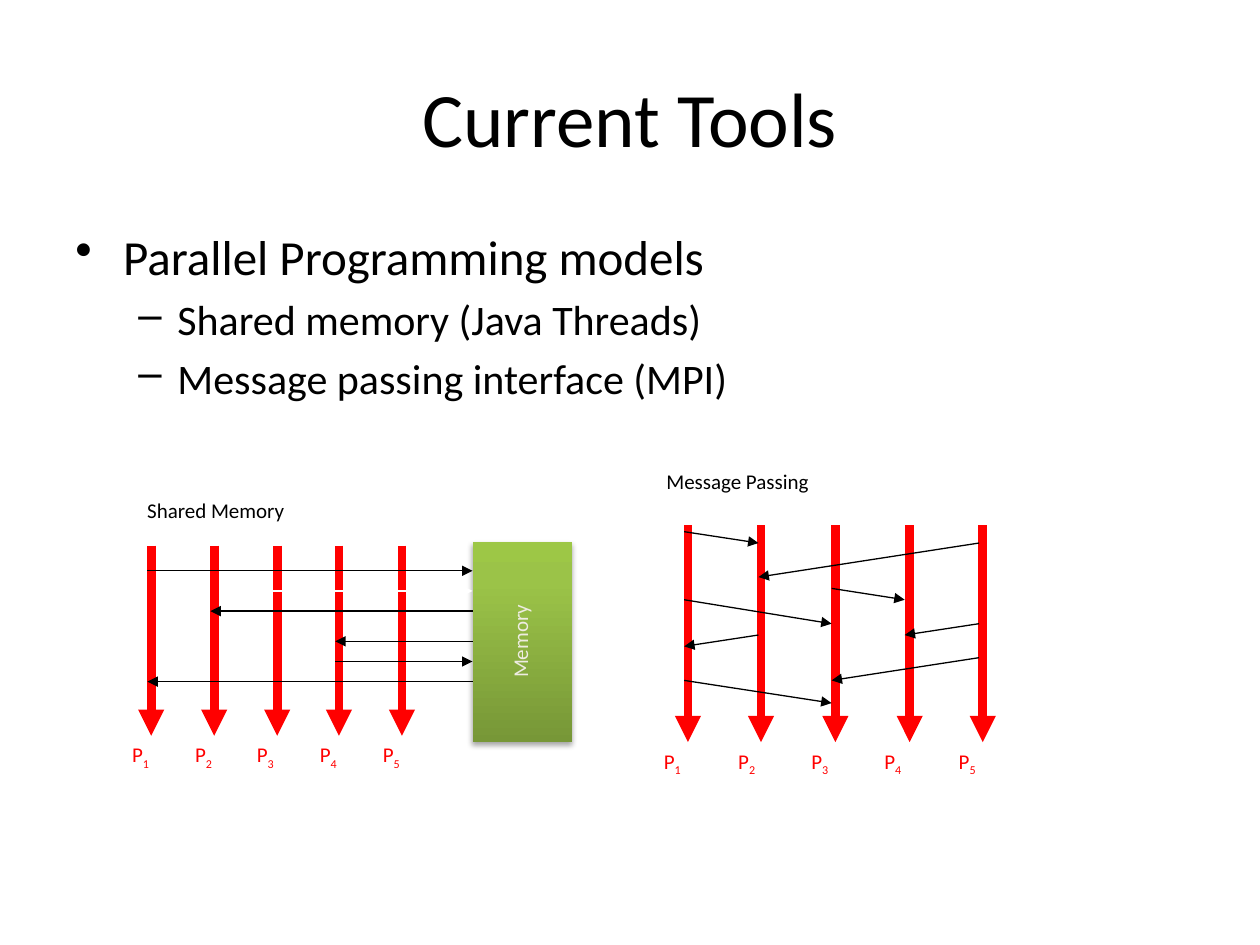
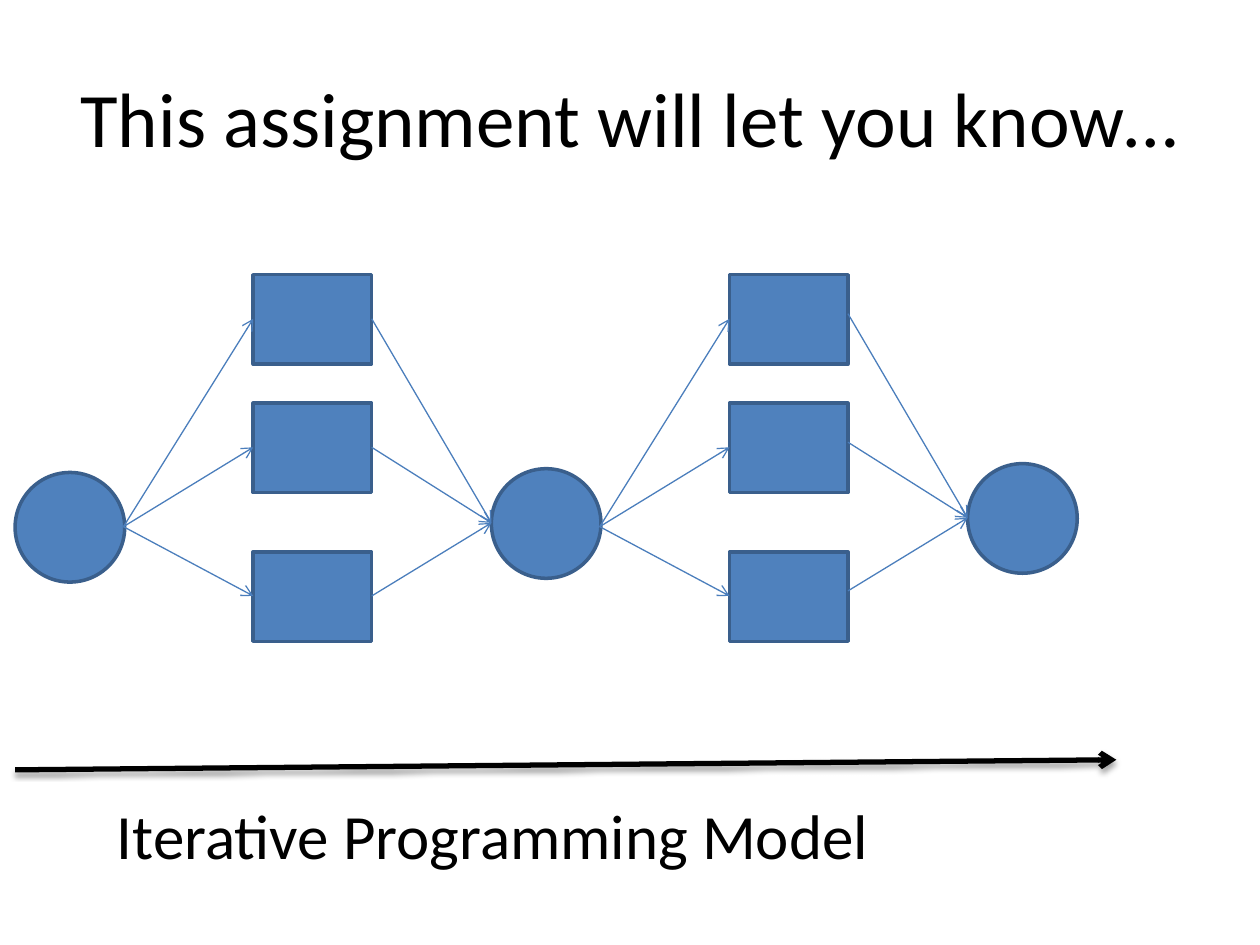
import copy

import pptx
import pptx.dml.color
import pptx.enum.shapes
import pptx.enum.text
import pptx.oxml
import pptx.oxml.ns
import pptx.util

RGBColor = pptx.dml.color.RGBColor
SHAPE = pptx.enum.shapes.MSO_SHAPE
ALIGN = pptx.enum.text.PP_ALIGN
qn = pptx.oxml.ns.qn

EMU_PER_PX = 9144  # 100 px to the inch
FONT = "Calibri"

BLACK = RGBColor(0x00, 0x00, 0x00)
WHITE = RGBColor(0xFF, 0xFF, 0xFF)
RED = RGBColor(0xFF, 0x00, 0x00)
CREAM = RGBColor(0xEE, 0xEC, 0xE1)
BLUE = RGBColor(0x4F, 0x81, 0xBD)
BLUE_EDGE = RGBColor(0x3A, 0x5F, 0x8C)
BLUE_ARROW = RGBColor(0x4B, 0x7E, 0xBC)
GREEN_STOPS = [
    (0, RGBColor(0x77, 0x97, 0x37)),
    (0.8, RGBColor(0x9B, 0xC3, 0x48)),
    (1, RGBColor(0x9D, 0xC7, 0x46)),
]

LANE_COUNT = 5
ARROW_INSET = 3  # arrows meet a lane this far left of its centre


def px(*lengths):
    return [pptx.util.Emu(round(length) * EMU_PER_PX) for length in lengths]


# Text
def style_span(span, size, color):
    span.font.name = FONT
    span.font.size = pptx.util.Pt(size)
    span.font.color.rgb = color


def add_text(page, text, area, size, color=BLACK, wrap=False, align=ALIGN.LEFT):
    box = page.shapes.add_textbox(*px(*area))
    frame = box.text_frame
    frame.word_wrap = wrap
    frame.text = text
    para = frame.paragraphs[0]
    para.alignment = align
    style_span(para.runs[0], size, color)
    return box


def add_title(page, text):
    box = add_text(page, text, (50, 30, 900, 125), 44, wrap=True, align=ALIGN.CENTER)
    box.text_frame.vertical_anchor = pptx.enum.text.MSO_ANCHOR.MIDDLE


def add_lane_label(page, number, left, top):
    box = add_text(page, "P", (left, top, 35, 30), 12, RED)
    span = box.text_frame.paragraphs[0].add_run()
    span.text = str(number)
    style_span(span, 12, RED)
    span.font._element.set("baseline", "-25000")


def add_bullets(page, items, area):
    frame = page.shapes.add_textbox(*px(*area)).text_frame
    frame.word_wrap = True
    levels = [("•", 38, -38, 28), ("–", 81, -31, 24)]
    for index, (level, text) in enumerate(items):
        mark, margin, indent, size = levels[level]
        para = frame.add_paragraph() if index else frame.paragraphs[0]
        para.text = text
        para.level = level
        if index:
            para.space_before = pptx.util.Pt(size * 0.2)
        props = para._p.get_or_add_pPr()
        props.set("marL", str(margin * EMU_PER_PX))
        props.set("indent", str(indent * EMU_PER_PX))
        pptx.oxml.ns  # bullet mark follows the spacing element
        bullet = props.makeelement(qn("a:buChar"), {"char": mark})
        props.append(bullet)
        style_span(para.runs[0], size, BLACK)


# Lines and shapes
def add_soft_shadow(effects):
    effects.append(pptx.oxml.parse_xml(
        f'<a:outerShdw {pptx.oxml.ns.nsdecls("a")} blurRad="40000" dist="23000" '
        'dir="5400000" rotWithShape="0"><a:srgbClr val="000000">'
        '<a:alpha val="35000"/></a:srgbClr></a:outerShdw>'))


def add_arrow(page, start, end, color=BLACK, width=0.75, head="triangle", shadow=False):
    line = page.shapes.add_connector(
        pptx.enum.shapes.MSO_CONNECTOR.STRAIGHT, *px(*start, *end))
    line.line.color.rgb = color
    line.line.width = pptx.util.Pt(width)
    props = line._element.spPr
    outline = props.find(qn("a:ln"))
    outline.append(outline.makeelement(qn("a:tailEnd"), {"type": head}))
    effects = props.makeelement(qn("a:effectLst"), {})
    props.append(effects)
    if shadow:
        add_soft_shadow(effects)


def add_node(page, kind, area):
    node = page.shapes.add_shape(kind, *px(*area))
    node.shadow.inherit = False
    node.fill.solid()
    node.fill.fore_color.rgb = BLUE
    node.line.color.rgb = BLUE_EDGE
    node.line.width = pptx.util.Pt(2)


def add_memory_block(page, area):
    block = page.shapes.add_shape(SHAPE.RECTANGLE, *px(*area))
    block.line.fill.background()
    block.fill.gradient()
    block.fill.gradient_angle = 90
    props = block._element.spPr
    stop_list = props.find(".//" + qn("a:gsLst"))
    stop_list.append(copy.deepcopy(stop_list[0]))
    for stop, (position, color) in zip(block.fill.gradient_stops, GREEN_STOPS):
        stop.position = position
        stop.color.rgb = color
    block.shadow.inherit = False
    add_soft_shadow(props.find(qn("a:effectLst")))


def add_lanes(page, lanes, top, bottom, label_shift):
    for number, x in enumerate(lanes, 1):
        add_arrow(page, (x, top), (x, bottom), RED, 5)
        add_lane_label(page, number, x - label_shift, bottom)


# Diagrams
def draw_message_passing(page):
    lanes = [546 + 58.5 * lane for lane in range(LANE_COUNT)]
    add_text(page, "Message Passing", (519, 367, 135, 30), 12)
    add_lanes(page, lanes, 417, 589, 29)
    # sender, height, receiver, height
    messages = [
        (1, 422, 2, 431), (5, 431, 2, 458), (3, 467, 4, 476), (5, 495, 4, 504),
        (5, 522, 3, 540), (1, 476, 3, 495), (2, 504, 1, 513), (1, 540, 3, 558),
    ]
    for sender, sent, receiver, received in messages:
        add_arrow(page, (lanes[sender - 1] - ARROW_INSET, sent),
                  (lanes[receiver - 1] - ARROW_INSET, received))


def draw_shared_memory(page):
    lanes = [120 + 49.75 * lane for lane in range(LANE_COUNT)]
    memory_left = 375
    add_text(page, "Shared Memory", (107, 390, 130, 30), 12)
    add_lanes(page, lanes, 433, 584, 25)
    add_memory_block(page, (memory_left, 430, 79, 159))
    # lane, height, writes to memory, colour
    accesses = [
        (1, 453, True, BLACK), (3, 469, True, WHITE), (2, 485, False, BLACK),
        (4, 509, False, BLACK), (4, 525, True, BLACK), (1, 541, False, BLACK),
    ]
    for lane, y, writes, color in accesses:
        ends = [(lanes[lane - 1] - ARROW_INSET, y), (memory_left, y)]
        start, end = ends if writes else reversed(ends)
        add_arrow(page, start, end, color)
    label = add_text(page, "Memory", (333, 494, 159, 30), 12, CREAM, True, ALIGN.CENTER)
    label.rotation = 270


def draw_iterations(page):
    stage_width, diameter = 378, 87
    task_width, task_height = 94, 71
    task_rows = [(218, 253), (320, 355), (438, 473)]  # top, arrow height
    for index, top in enumerate((375, 372, 368)):
        add_node(page, SHAPE.OVAL, (12 + stage_width * index, top, diameter, diameter))
    for stage in range(2):
        shift, rise = stage_width * stage, 4 * stage
        left = 201 + shift
        right = left + task_width
        for top, middle in task_rows:
            add_node(page, SHAPE.RECTANGLE, (left, top, task_width, task_height))
            add_arrow(page, (98 + shift, 418), (left, middle), BLUE_ARROW, head="arrow")
            add_arrow(page, (right, middle - rise), (390 + shift, 415 - rise),
                      BLUE_ARROW, head="arrow")


def main():
    deck = pptx.Presentation()
    deck.slide_width, deck.slide_height = px(1000, 750)
    blank = deck.slide_layouts[6]

    # Current tools
    page = deck.slides.add_slide(blank)
    add_title(page, "Current Tools")
    add_bullets(page, [
        (0, "Parallel Programming models"),
        (1, "Shared memory (Java Threads)"),
        (1, "Message passing interface (MPI)"),
    ], (50, 175, 900, 495))
    draw_message_passing(page)
    draw_shared_memory(page)

    # Iterative model
    page = deck.slides.add_slide(blank)
    add_title(page, "This assignment will let you know…")
    draw_iterations(page)
    add_arrow(page, (12, 611), (886, 603), width=3, head="arrow", shadow=True)
    add_text(page, "Iterative Programming Model", (83, 627, 623, 71), 36)

    deck.save("out.pptx")


if __name__ == "__main__":
    main()
